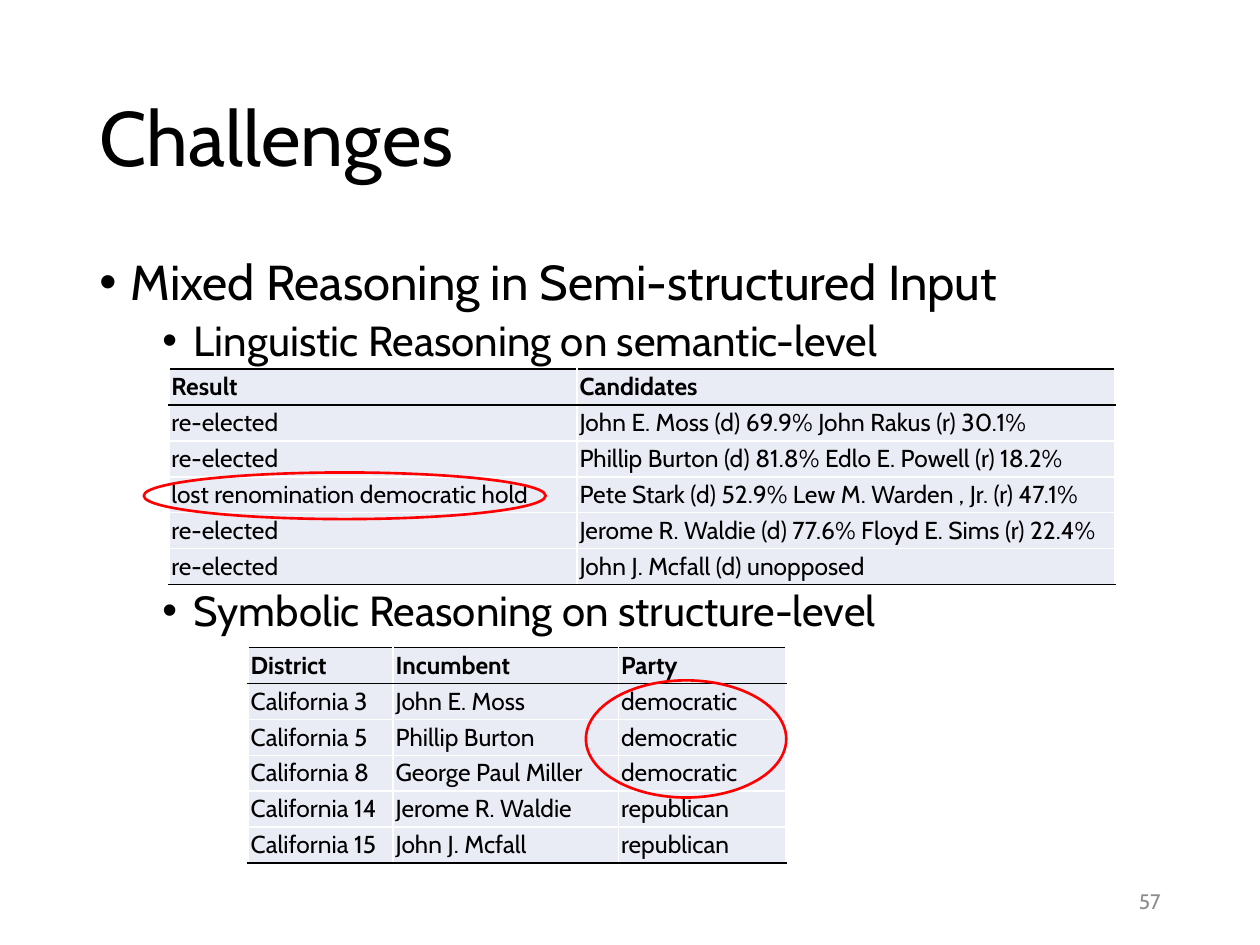
import pptx
import pptx.dml.color
import pptx.enum.shapes
import pptx.enum.text
import pptx.oxml
import pptx.oxml.ns
import pptx.util

THEME = {
    "font": "Cabin",
    "ink": "000000", "muted": "8C8C8C", "mark": "FF0000",
    "cell": "E9EBF5", "rule": "FFFFFF",
    "title": 44, "topic": 28, "subtopic": 24, "table": 14, "number": 12,
}
ALIGN = pptx.enum.text.PP_ALIGN
MIDDLE = pptx.enum.text.MSO_ANCHOR.MIDDLE
Pt = pptx.util.Pt
color = pptx.dml.color.RGBColor.from_string

deck = pptx.Presentation()
deck.slide_width = pptx.util.Inches(10)
deck.slide_height = pptx.util.Inches(7.5)
slide = deck.slides.add_slide(deck.slide_layouts[6])


def grid(*counts):
    """Turn counts of grid units, 100 across the slide and 75 down, into lengths."""
    return [round(count * deck.slide_width / 100) for count in counts]


def write(frame, text, size, ink="ink", bold=False, align=ALIGN.LEFT,
          leading=1.0, before=0, bullet_at=None):
    """Add a paragraph; bullet_at is the text indent of a bulleted one, in grid units."""
    frame.word_wrap = True
    paragraph = frame.paragraphs[0]
    if paragraph.runs:
        paragraph = frame.add_paragraph()
    paragraph.alignment = align
    paragraph.line_spacing = leading
    if before:
        paragraph.space_before = Pt(before)
    if bullet_at is not None:
        indent, hang = grid(bullet_at, -2.5)
        properties = paragraph._p.get_or_add_pPr()
        properties.set("marL", str(indent))
        properties.set("indent", str(hang))
        ns = pptx.oxml.ns.nsdecls("a")
        properties.append(pptx.oxml.parse_xml(f'<a:buFont {ns} typeface="Arial"/>'))
        properties.append(pptx.oxml.parse_xml(f'<a:buChar {ns} char="•"/>'))
    run = paragraph.add_run()
    run.text = text
    run.font.name = THEME["font"]
    run.font.size = Pt(THEME[size])
    run.font.bold = bold
    run.font.color.rgb = color(THEME[ink])


title = slide.shapes.add_textbox(*grid(6.9, 4, 86.2, 14.5)).text_frame
title.vertical_anchor = MIDDLE
write(title, "Challenges", "title", leading=0.9)

# The space before the last point leaves room for the first table.
outline = slide.shapes.add_textbox(*grid(6.9, 20, 86.2, 47.6)).text_frame
write(outline, "Mixed Reasoning in Semi-structured Input", "topic",
      leading=0.9, bullet_at=2.5)
for point, gap in (("Linguistic Reasoning on semantic-level", 5),
                   ("Symbolic Reasoning on structure-level", 128.5)):
    write(outline, point, "subtopic", leading=0.9, before=gap, bullet_at=7.5)

elections = [
    ("Result", "Candidates"),
    ("re-elected", "John E. Moss (d) 69.9% John Rakus (r) 30.1%"),
    ("re-elected", "Phillip Burton (d) 81.8% Edlo E. Powell (r) 18.2%"),
    ("lost renomination democratic hold",
     "Pete Stark (d) 52.9% Lew M. Warden , Jr. (r) 47.1%"),
    ("re-elected", "Jerome R. Waldie (d) 77.6% Floyd E. Sims (r) 22.4%"),
    ("re-elected", "John J. Mcfall (d) unopposed"),
]
members = [
    ("District", "Incumbent", "Party"),
    ("California 3", "John E. Moss", "democratic"),
    ("California 5", "Phillip Burton", "democratic"),
    ("California 8", "George Paul Miller", "democratic"),
    ("California 14", "Jerome R. Waldie", "republican"),
    ("California 15", "John J. Mcfall", "republican"),
]
ROW = 2.85
# Each entry: records, left, top, column widths, ellipse around the key cells.
evidence = [
    (elections, 13.4, 29.3, (32.4, 42.7), (11.4, 37.5, 31.9, 3.7)),
    (members, 19.7, 51.4, (11.5, 17.9, 13.3), (46.5, 54, 15.9, 9.3)),
]
for records, left, top, widths, key_area in evidence:
    table = slide.shapes.add_table(
        len(records), len(widths),
        *grid(left, top, sum(widths), ROW * len(records))).table
    table.first_row = table.horz_banding = False
    for column, width in zip(table.columns, grid(*widths)):
        column.width = width
    last = len(records) - 1
    for r, record in enumerate(records):
        table.rows[r].height = grid(ROW)[0]
        edges = {
            "lnL": "rule", "lnR": "rule",
            "lnT": "ink" if r <= 1 else "rule",
            "lnB": "ink" if r in (0, last) else "rule",
        }
        for c, text in enumerate(record):
            cell = table.cell(r, c)
            cell.margin_left = cell.margin_right = grid(0.2)[0]
            cell.margin_top = cell.margin_bottom = grid(0.2)[0]
            cell.vertical_anchor = MIDDLE
            for edge, ink in edges.items():
                cell._tc.get_or_add_tcPr().append(pptx.oxml.parse_xml(
                    f'<a:{edge} {pptx.oxml.ns.nsdecls("a")} w="{Pt(1)}"><a:solidFill>'
                    f'<a:srgbClr val="{THEME[ink]}"/></a:solidFill></a:{edge}>'))
            cell.fill.solid()
            cell.fill.fore_color.rgb = color(THEME["cell"])
            write(cell.text_frame, text, "table", bold=r == 0)

    highlight = slide.shapes.add_shape(
        pptx.enum.shapes.MSO_SHAPE.OVAL, *grid(*key_area))
    highlight.shadow.inherit = False
    highlight.fill.background()
    highlight.line.color.rgb = color(THEME["mark"])
    highlight.line.width = Pt(1.5)

page_number = slide.shapes.add_textbox(*grid(70.6, 69.5, 22.5, 4)).text_frame
page_number.vertical_anchor = MIDDLE
write(page_number, "57", "number", ink="muted", align=ALIGN.RIGHT)

deck.save("out.pptx")
